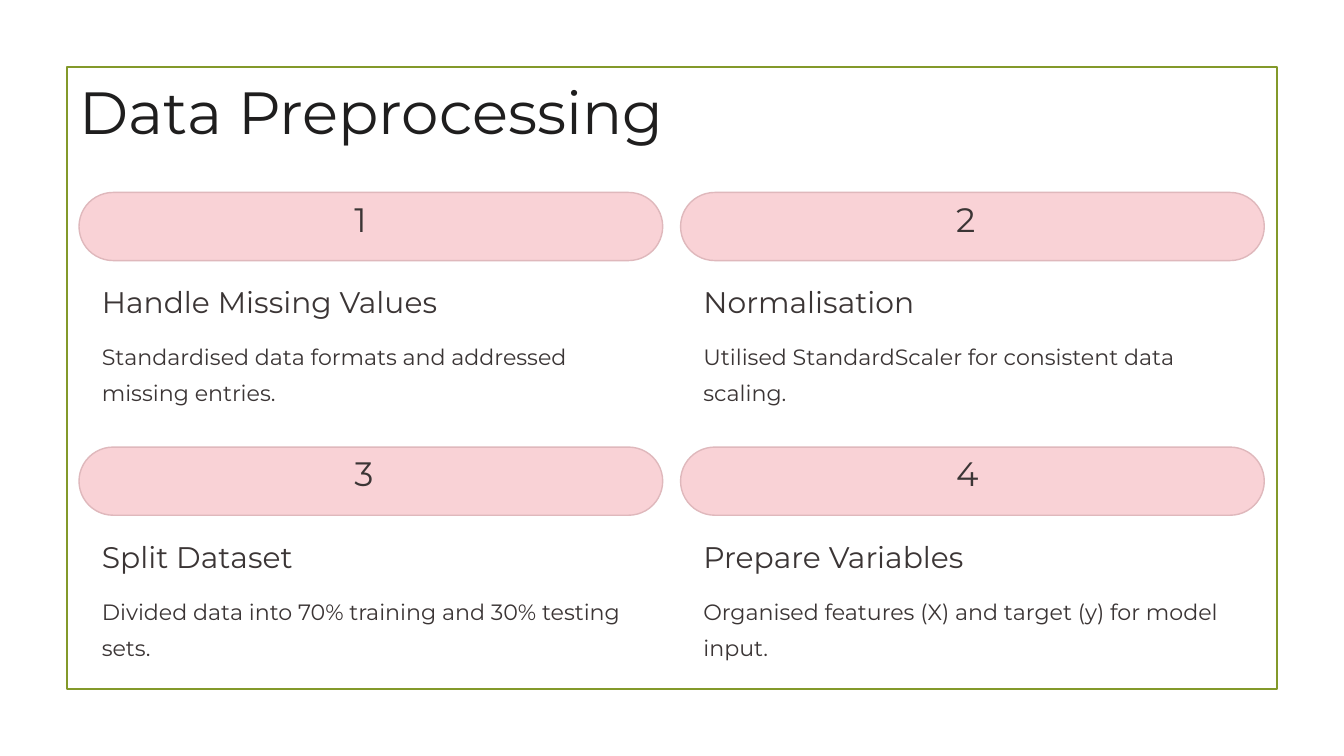
from pptx import Presentation
from pptx.dml.color import RGBColor
from pptx.enum.shapes import MSO_SHAPE
from pptx.enum.text import MSO_ANCHOR, MSO_AUTO_SIZE, PP_ALIGN
from pptx.util import Cm, Pt

# Content
TITLE = "Data Preprocessing"
STEPS = [
    ("Handle Missing Values", "Standardised data formats and addressed missing entries."),
    ("Normalisation", "Utilised StandardScaler for consistent data scaling."),
    ("Split Dataset", "Divided data into 70% training and 30% testing sets."),
    ("Prepare Variables", "Organised features (X) and target (y) for model input."),
]

# Style
FONT = "Montserrat"
GREEN = RGBColor(0x83, 0x99, 0x2A)
PINK = RGBColor(0xF9, 0xD2, 0xD6)
ROSE = RGBColor(0xDF, 0xB8, 0xBC)
BLACK = RGBColor(0x1F, 0x1E, 0x1E)
BROWN = RGBColor(0x3B, 0x35, 0x35)

# Grid, in centimetres
COLUMNS = 2
LEFT, TOP = 2.39, 5.82
COLUMN_STEP, ROW_STEP = 18.19, 7.7
BAR_WIDTH, BAR_HEIGHT = 17.65, 2.06
TEXT_INDENT, TEXT_WIDTH = 0.69, 16.28

prs = Presentation()
prs.slide_width, prs.slide_height = Cm(40.64), Cm(22.86)
slide = prs.slides.add_slide(prs.slide_layouts[5])


def add_text(text, left, top, width, height, size, spacing, color=BROWN, holder=None):
    box = holder or slide.shapes.add_textbox(0, 0, 0, 0)
    box.left, box.top, box.width, box.height = Cm(left), Cm(top), Cm(width), Cm(height)
    frame = box.text_frame
    frame.margin_left = frame.margin_top = frame.margin_right = frame.margin_bottom = 0
    frame.word_wrap = True
    frame.auto_size = MSO_AUTO_SIZE.NONE
    frame.vertical_anchor = MSO_ANCHOR.TOP
    frame.text = text
    paragraph = frame.paragraphs[0]
    paragraph.alignment = PP_ALIGN.LEFT
    paragraph.line_spacing = Pt(spacing)
    paragraph.space_before = Pt(0)
    font = paragraph.runs[0].font
    font.name, font.size, font.color.rgb = FONT, Pt(size), color


def add_panel(kind, left, top, width, height, line, weight, fill=None):
    panel = slide.shapes.add_shape(kind, Cm(left), Cm(top), Cm(width), Cm(height))
    panel.shadow.inherit = False
    if fill is None:
        panel.fill.background()
    else:
        panel.fill.solid()
        panel.fill.fore_color.rgb = fill
    panel.line.color.rgb = line
    panel.line.width = Pt(weight)
    return panel


# Frame and title
add_panel(MSO_SHAPE.RECTANGLE, 2.03, 2.03, 36.58, 18.8, GREEN, 1.25)
add_text(TITLE, LEFT, 2.18, 18.19, 2.26, size=51, spacing=63.5, color=BLACK,
         holder=slide.shapes.title)

# Numbered steps
for index, (heading, detail) in enumerate(STEPS):
    row, column = divmod(index, COLUMNS)
    x = LEFT + column * COLUMN_STEP
    y = TOP + row * ROW_STEP
    bar = add_panel(MSO_SHAPE.ROUNDED_RECTANGLE, x, y, BAR_WIDTH, BAR_HEIGHT, ROSE, 1.2, PINK)
    bar.adjustments[0] = 0.5
    add_text(str(index + 1), x + 8.33, y + 0.38, 1.02, 1.3, size=29, spacing=29)
    add_text(heading, x + TEXT_INDENT, y + 2.74, TEXT_WIDTH, 1.12, size=25.5, spacing=31.5)
    add_text(detail, x + TEXT_INDENT, y + 4.28, TEXT_WIDTH, 2.18, size=19, spacing=31)

prs.save("out.pptx")
